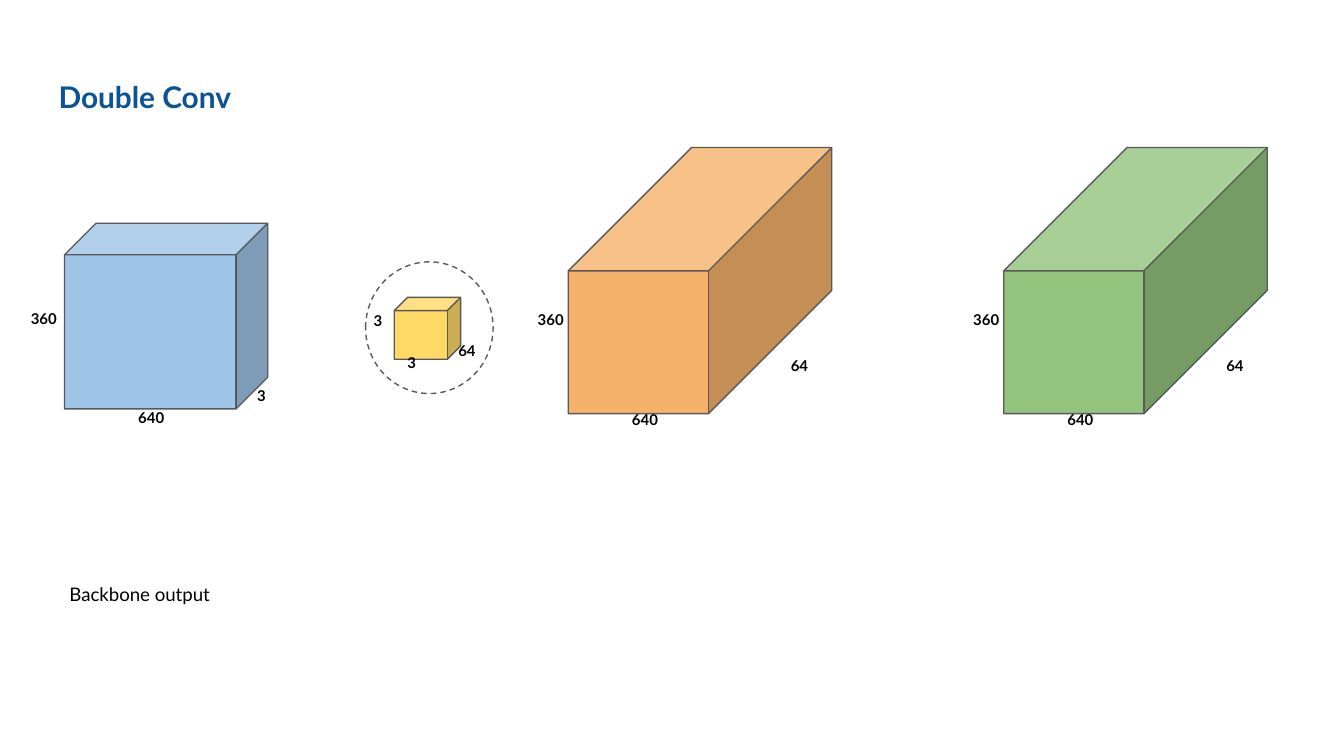
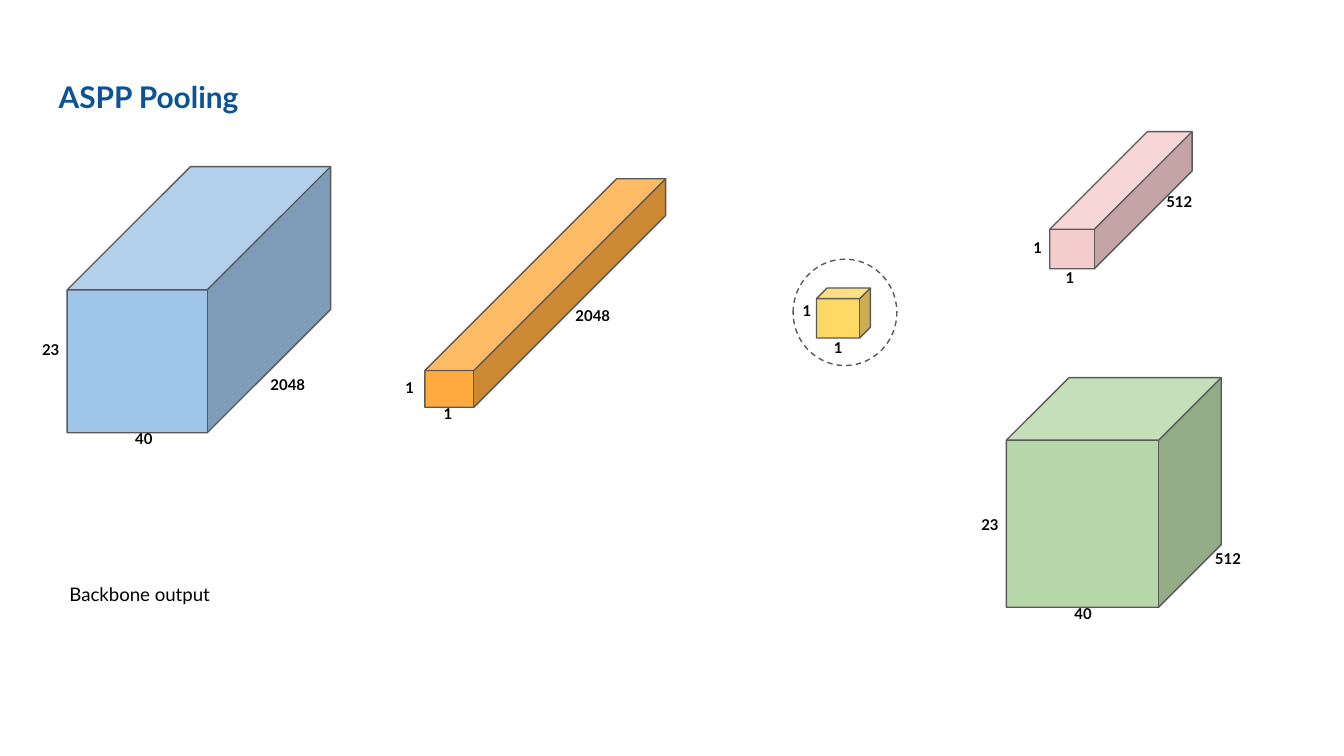
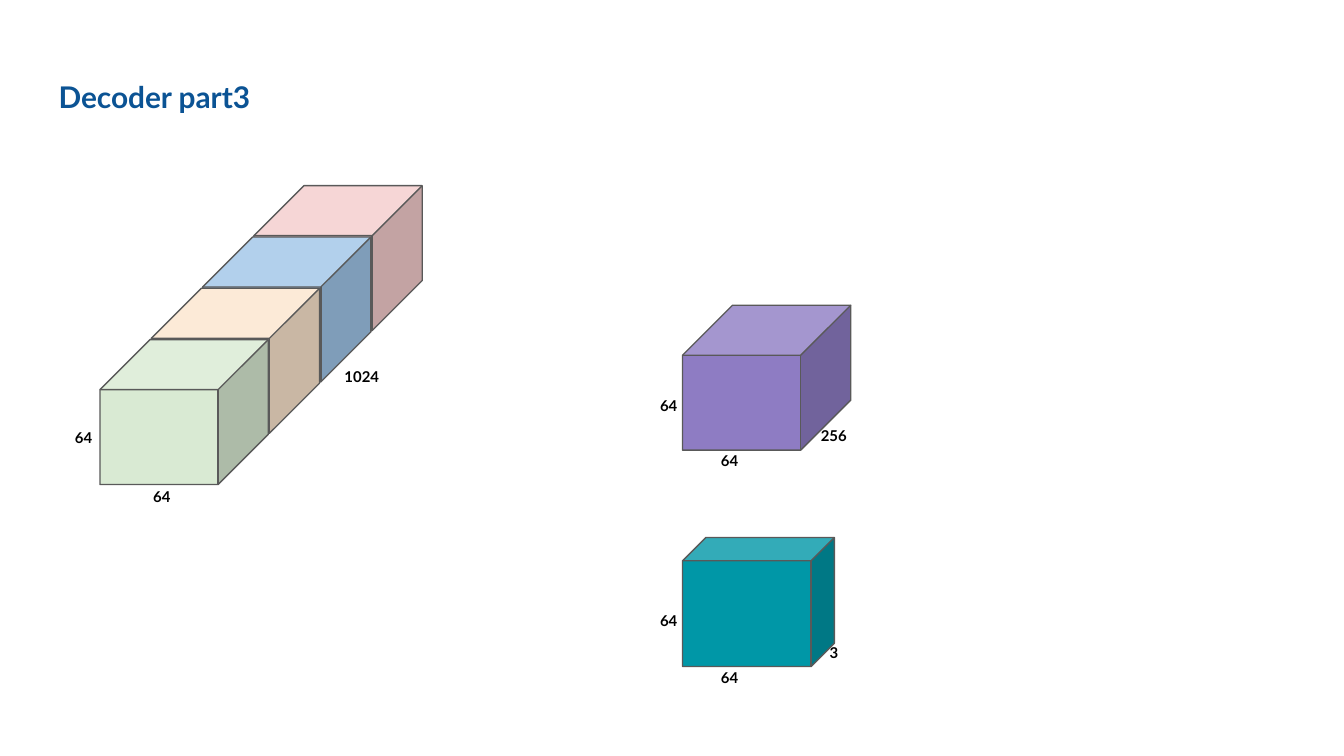
import pptx
import pptx.util
import pptx.dml.color
import pptx.enum.dml
import pptx.enum.shapes
import pptx.enum.text

Cm = pptx.util.Cm
Pt = pptx.util.Pt
SHAPE = pptx.enum.shapes.MSO_SHAPE
FONT = "Lato"
BLUE, ORANGE, PINK, YELLOW = "9FC5E8", "F6B26B", "F4CCCC", "FFD966"
NAVY, BLACK, GREY = "0B5394", "000000", "595959"


def color(code):
    return pptx.dml.color.RGBColor.from_string(code)


def text(shapes, words, box, size, ink=BLACK, bold=False, center=True):
    item = shapes.add_textbox(*map(Cm, box))
    frame = item.text_frame
    frame.word_wrap = True
    frame.margin_left = frame.margin_right = Cm(0.25)
    frame.margin_top = frame.margin_bottom = Cm(0.25)
    para = frame.paragraphs[0]
    para.text = words
    para.font.name = FONT
    para.font.size = Pt(size)
    para.font.bold = bold
    para.font.color.rgb = color(ink)
    if center:
        para.alignment = pptx.enum.text.PP_ALIGN.CENTER
        frame.auto_size = pptx.enum.text.MSO_AUTO_SIZE.SHAPE_TO_FIT_TEXT


def outline(shapes, kind, box):
    item = shapes.add_shape(kind, *map(Cm, box))
    item.shadow.inherit = False
    item.line.color.rgb = color(GREY)
    item.line.width = Pt(0.75)
    return item


def block(shapes, box, depth, fill, labels=()):
    """Draw a cube; each label is (words, x, y, width) from the cube's corner."""
    cube = outline(shapes, SHAPE.CUBE, box)
    cube.adjustments[0] = depth
    cube.fill.solid()
    cube.fill.fore_color.rgb = color(fill)
    left, top = box[:2]
    for words, x, y, width in labels:
        text(shapes, words, (left + x, top + y, width, 0.86), 8, bold=True)


def tensor(slide, *args):
    """Draw a labelled block as one group."""
    block(slide.shapes.add_group_shape().shapes, *args)


def kernel(slide, box, labels):
    """Draw a small filter cube inside a dashed ring."""
    shapes = slide.shapes.add_group_shape().shapes
    ring = outline(shapes, SHAPE.OVAL, box)
    ring.fill.background()
    ring.line.dash_style = pptx.enum.dml.MSO_LINE.DASH
    left, top, width, height = box
    cube = (left + 0.225 * width, top + 0.27 * height,
            0.52 * width, 0.47 * height)
    block(shapes, cube, 0.214, YELLOW, labels)


def stack(slide, left, top, size, fills, labels):
    """Draw cubes from back to front, the last one carrying the labels."""
    shapes = slide.shapes.add_group_shape().shapes
    step = 0.97
    for i, fill in enumerate(fills):
        box = (left - i * step, top + i * step, *size)
        block(shapes, box, 0.345, fill,
              labels if i == len(fills) - 1 else ())


def page(deck, title, width=10.54, note=None):
    slide = deck.slides.add_slide(deck.slide_layouts[6])
    text(slide.shapes, title, (0.86, 1.24, width, 1.24), 16, NAVY, True, False)
    if note:
        text(slide.shapes, note, (0.61, 10.8, 4.06, 0.94), 10)
    return slide


def double(deck):
    slide = page(deck, "Double Conv", note="Backbone output")
    tensor(slide, (1.22, 4.22, 3.84, 3.51), 0.17, BLUE,
           [("360", -0.91, 1.47, 1.04), ("640", 1.12, 3.33, 1.04),
            ("3", 3.2, 2.92, 1.04)])
    for left, fill in ((10.74, ORANGE), (18.97, "93C47D")):
        tensor(slide, (left, 2.79, 4.98, 5.03), 0.468, fill,
               [("360", -1.04, 2.92, 1.42), ("640", 0.74, 4.8, 1.42),
                ("64", 3.43, 3.78, 1.88)])
    kernel(slide, (6.91, 4.95, 2.41, 2.49),
           [("3", -0.64, 0.1, 0.64), ("3", 0, 0.89, 0.64),
            ("64", 0.89, 0.66, 0.97)])


def pooling(deck):
    slide = page(deck, "ASPP Pooling", note="Backbone output")
    tensor(slide, (1.27, 3.15, 4.98, 5.03), 0.468, BLUE,
           [("23", -1.02, 3.12, 1.42), ("40", 0.74, 4.8, 1.42),
            ("2048", 3.23, 3.78, 1.88)])
    kernel(slide, (14.99, 4.9, 1.96, 2.01),
           [("1", -0.51, 0.08, 0.51), ("1", 0.08, 0.79, 0.51)])
    tensor(slide, (8.03, 3.38, 4.55, 4.32), 0.839, "FFAB40",
           [("1", -0.64, 3.61, 0.71), ("1", 0.08, 4.09, 0.71),
            ("2048", 2.44, 2.24, 1.47)])
    tensor(slide, (19.84, 2.49, 2.69, 2.59), 0.712, PINK,
           [("1", -0.56, 1.85, 0.56), ("1", 0.05, 2.41, 0.56),
            ("512", 1.88, 0.99, 1.14)])
    tensor(slide, (19.02, 7.14, 4.06, 4.34), 0.291, "B6D7A8",
           [("23", -1.02, 2.44, 1.42), ("40", 0.74, 4.11, 1.42),
            ("512", 3.25, 3.07, 1.88)])


def decoder(deck):
    slide = page(deck, "Decoder part3", width=5.08)
    size = (3.18, 2.74)
    stack(slide, 4.8, 3.51, size, (PINK, BLUE, "FCE5CD", "D9EAD3"),
          [("1024", 4.19, 0.36, 1.52), ("64", 0.74, 2.62, 0.86),
           ("64", -0.74, 1.52, 0.86)])
    tensor(slide, (12.9, 5.77, *size), 0.345, "8E7CC3",
           [("64", -0.69, 1.55, 0.86), ("64", 0.46, 2.59, 0.86),
            ("256", 2.29, 2.13, 1.14)])
    tensor(slide, (12.9, 10.16, 2.87, 2.44), 0.181, "0097A7",
           [("64", -0.69, 1.24, 0.86), ("64", 0.46, 2.31, 0.86),
            ("3", 2.29, 1.83, 1.14)])


def main():
    deck = pptx.Presentation()
    deck.slide_width = Cm(25.4)
    deck.slide_height = Cm(14.29)
    double(deck)
    pooling(deck)
    decoder(deck)
    deck.save("out.pptx")


if __name__ == "__main__":
    main()
